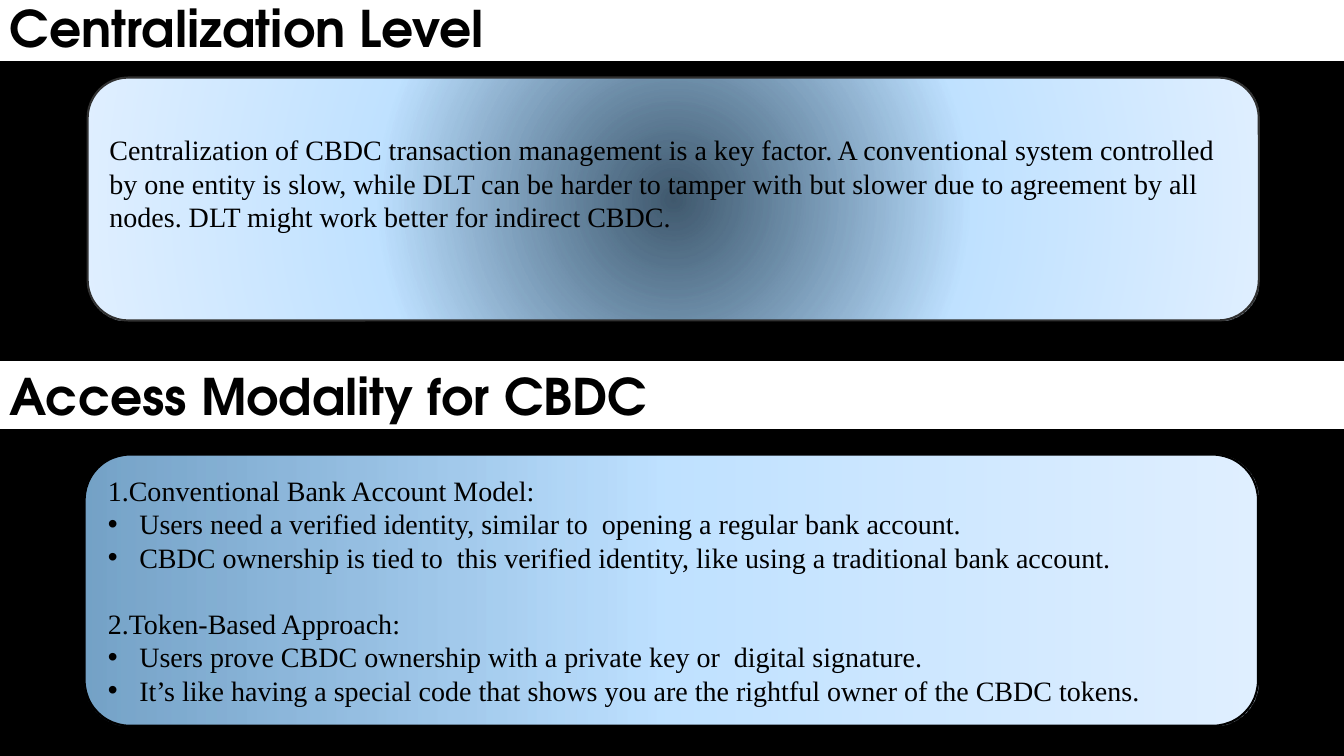
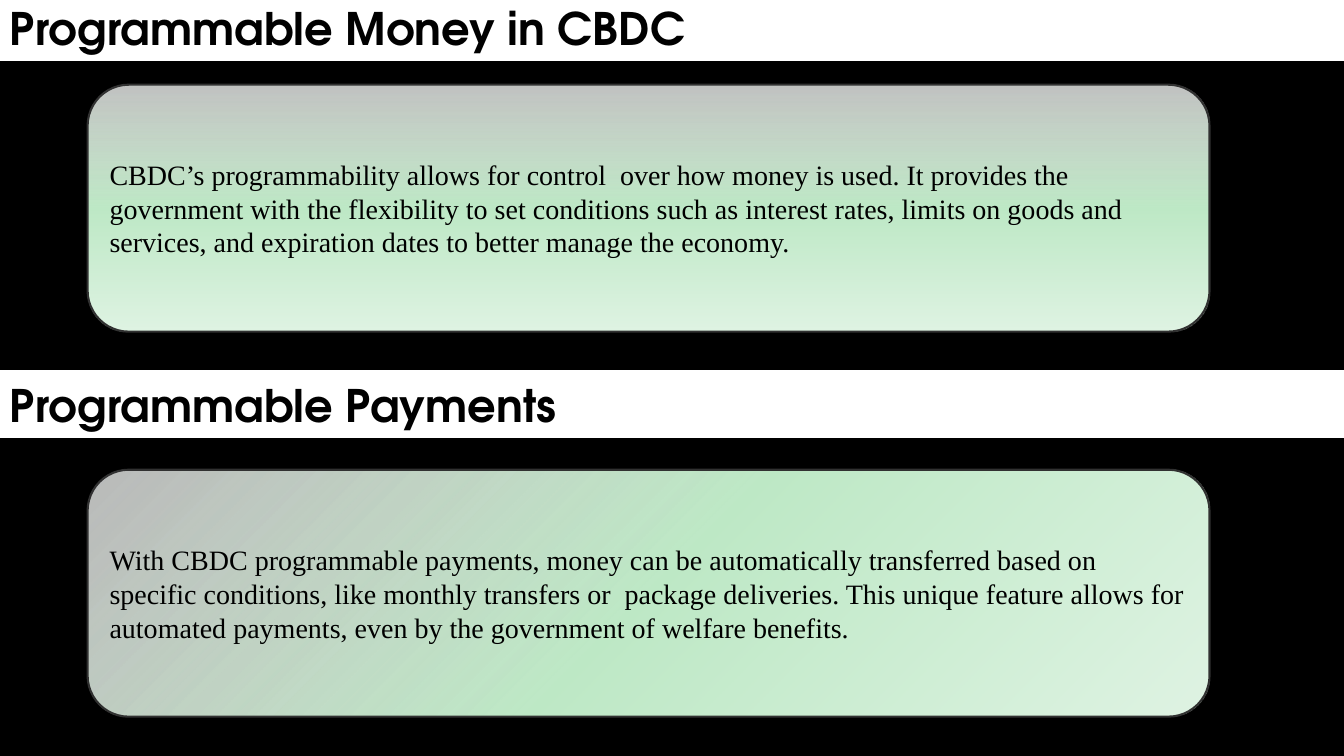
from pptx import Presentation
from pptx.dml.color import RGBColor
from pptx.enum import shapes, text
from pptx.oxml import parse_xml
from pptx.oxml.ns import nsdecls, qn
from pptx.util import Pt

C = {"back": "000000", "band": "FFFFFF", "ink": "000000", "edge": "313131",
     "sky": "96D0FF", "sky_mid": "BFE1FF", "sky_end": "E0EFFF",
     "mint": "FCFEFC", "mint_mid": "BDE8C5", "mint_end": "DFF3E3", "white": "FFFFFF"}
RGB = {k: RGBColor.from_string(v) for k, v in C.items()}
BODY = {"name": "Times New Roman", "size": Pt(20)}
TITLE = {"name": "TeX Gyre Adventor", "bold": True}
BAND_H = 47.5
INDENT = 22.5
LINE_H = 23

CENTRE = '<a:path path="circle"><a:fillToRect l="50000" t="50000" r="50000" b="50000"/></a:path>'
CORNER = '<a:path path="circle"><a:fillToRect r="100000" b="100000"/></a:path>'
ACROSS = '<a:lin ang="0" scaled="0"/>'
DOWN = '<a:lin ang="5400000" scaled="0"/>'

SLIDES = [
    {"title_size": 36, "sections": [
        {"title": "Centralization Level", "top": -4.3,
         "box": (62.6, 55.4, 836.6, 173.5), "line": "edge", "bottom": 3.6 + LINE_H,
         "stops": ("sky", "sky_mid", "sky_end"), "alpha": 42, "shade": CENTRE,
         "paras": ["Centralization of CBDC transaction management is a key factor. A conventional system controlled by one entity is slow, while DLT can be harder to tamper with but slower due to agreement by all nodes. DLT might work better for indirect CBDC."]},
        {"title": "Access Modality for CBDC", "top": 258.5,
         "box": (60.5, 324.7, 838.1, 193.7), "line": "back", "bottom": 3.6,
         "stops": ("sky", "sky_mid", "sky_end"), "alpha": 77, "shade": ACROSS,
         "paras": ["1.Conventional Bank Account Model:",
                   "• Users need a verified identity, similar to  opening a regular bank account.",
                   "• CBDC ownership is tied to  this verified identity, like using a traditional bank account.",
                   "2.Token-Based Approach:",
                   "• Users prove CBDC ownership with a private key or  digital signature.",
                   "• It’s like having a special code that shows you are the rightful owner of the CBDC tokens."]},
    ]},
    {"title_size": 32, "sections": [
        {"title": "Programmable Money in CBDC", "top": -4.3,
         "box": (62.6, 60.5, 801.4, 176.4), "line": "edge", "bottom": 3.6,
         "stops": ("mint", "mint_mid", "mint_end"), "alpha": 76, "shade": DOWN,
         "paras": ["CBDC’s programmability allows for control  over how money is used. It provides the government with the flexibility to set conditions such as interest rates, limits on goods and services, and expiration dates to better manage the economy."]},
        {"title": "Programmable Payments", "top": 265,
         "box": (62.6, 335.5, 801.4, 176.4), "line": "edge", "bottom": 3.6,
         "stops": ("white", "mint_mid", "mint_end"), "alpha": 72, "shade": CORNER,
         "paras": ["With CBDC programmable payments, money can be automatically transferred based on specific conditions, like monthly transfers or  package deliveries. This unique feature allows for automated payments, even by the government of welfare benefits."]},
    ]},
]


def add_panel(s, kind, box, line):
    sp = s.shapes.add_shape(kind, *[Pt(v) for v in box])
    sp.shadow.inherit = False
    sp.line.color.rgb = RGB[line]
    sp.line.width = Pt(1.5)
    sp.text_frame.word_wrap = True
    sp.text_frame.vertical_anchor = text.MSO_ANCHOR.MIDDLE
    return sp


def add_text(p, words, fmt):
    p.alignment = text.PP_ALIGN.LEFT
    r = p.add_run()
    r.text = words
    r.font.color.rgb = RGB["ink"]
    for key, value in fmt.items():
        setattr(r.font, key, value)


prs = Presentation()
prs.slide_width, prs.slide_height = Pt(960), Pt(540)

for page in SLIDES:
    s = prs.slides.add_slide(prs.slide_layouts[6])
    s.background.fill.solid()
    s.background.fill.fore_color.rgb = RGB["back"]
    for sec in page["sections"]:
        sp = add_panel(s, shapes.MSO_SHAPE.ROUNDED_RECTANGLE, sec["box"], sec["line"])
        sp.fill.gradient()
        old = sp._element.spPr.find(qn("a:gradFill"))
        stops = ""
        for i, name in enumerate(sec["stops"]):
            alpha = 100 if i else sec["alpha"]
            stops += (f'<a:gs pos="{i * 50000}"><a:srgbClr val="{C[name]}">'
                      f'<a:alpha val="{alpha * 1000}"/></a:srgbClr></a:gs>')
        old.getparent().replace(old, parse_xml(
            f'<a:gradFill {nsdecls("a")} rotWithShape="1"><a:gsLst>{stops}</a:gsLst>'
            f'{sec["shade"]}</a:gradFill>'))
        tf = sp.text_frame
        tf.margin_bottom = Pt(sec["bottom"])
        for i, words in enumerate(sec["paras"]):
            p = tf.add_paragraph() if i else tf.paragraphs[0]
            if words.startswith("• "):
                pPr = p._p.get_or_add_pPr()
                pPr.set("marL", str(Pt(INDENT)))
                pPr.set("indent", str(-Pt(INDENT)))
                pPr.append(parse_xml(f'<a:buFont {nsdecls("a")} typeface="Arial"/>'))
                pPr.append(parse_xml(f'<a:buChar {nsdecls("a")} char="•"/>'))
            elif i:
                p.space_before = Pt(LINE_H)
            add_text(p, words.removeprefix("• "), BODY)

        band = add_panel(s, shapes.MSO_SHAPE.RECTANGLE, (0, sec["top"], 960, BAND_H), "band")
        band.fill.solid()
        band.fill.fore_color.rgb = RGB["band"]
        add_text(band.text_frame.paragraphs[0], sec["title"],
                 {**TITLE, "size": Pt(page["title_size"])})

prs.save("out.pptx")
